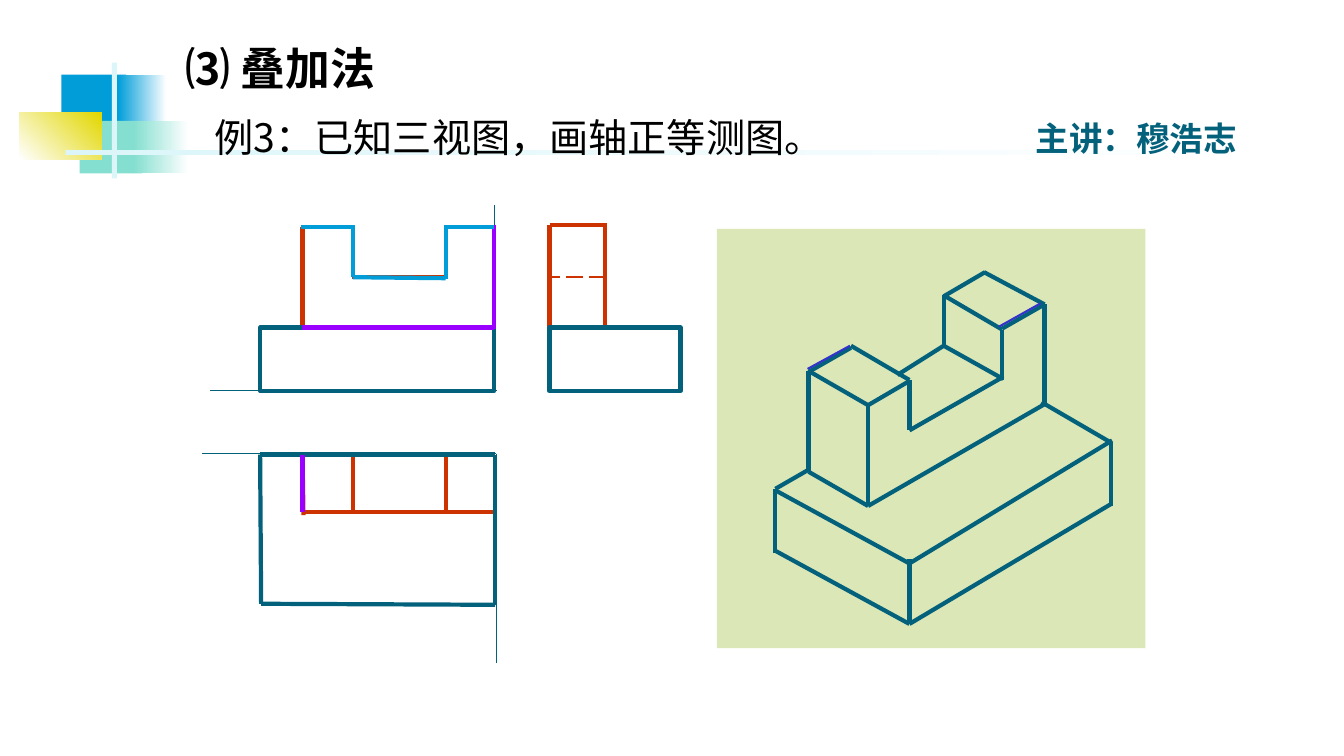
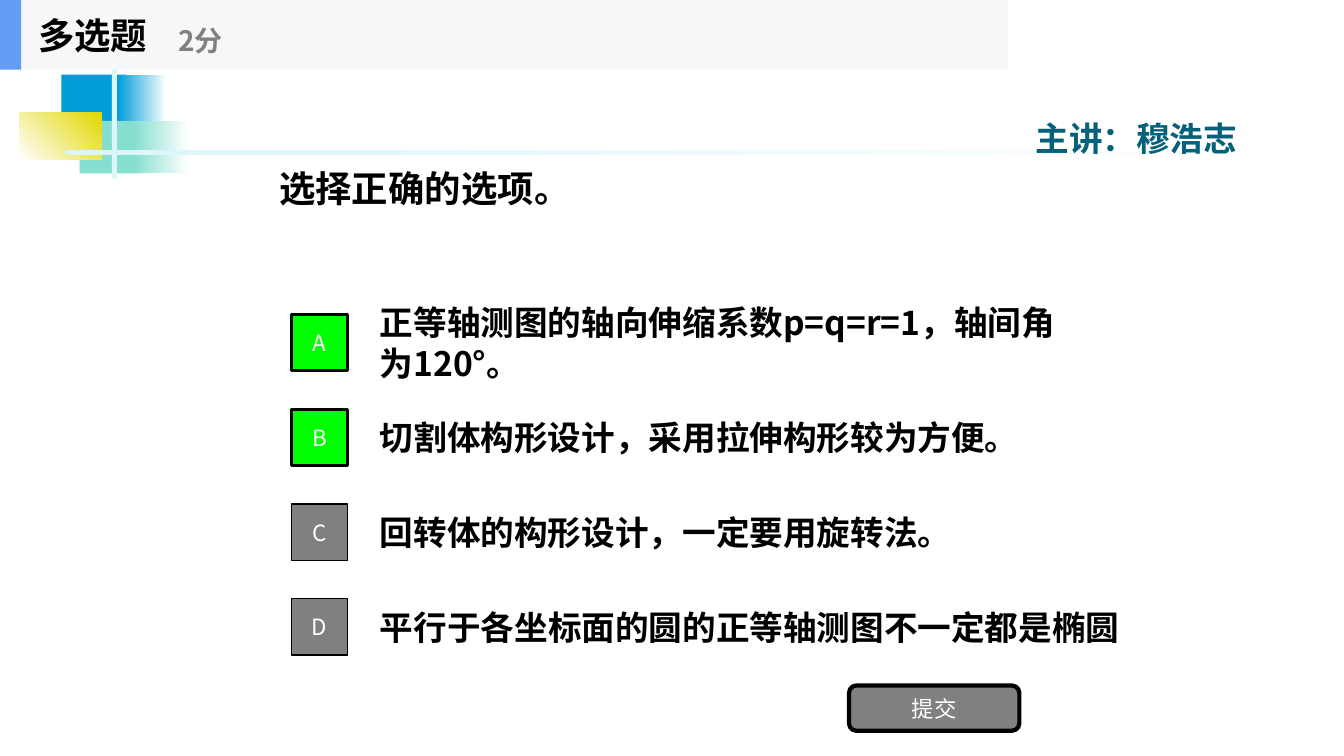
from dataclasses import dataclass

from lxml import etree
from pptx import Presentation
from pptx.dml.color import RGBColor
from pptx.enum.dml import MSO_LINE
from pptx.enum.shapes import MSO_CONNECTOR, MSO_SHAPE
from pptx.enum.text import MSO_ANCHOR, PP_ALIGN
from pptx.oxml.ns import qn
from pptx.util import Emu, Pt

RECT = MSO_SHAPE.RECTANGLE
ROUNDED = MSO_SHAPE.ROUNDED_RECTANGLE
STRAIGHT = MSO_CONNECTOR.STRAIGHT
LONG_DASH = MSO_LINE.LONG_DASH
MIDDLE = MSO_ANCHOR.MIDDLE
LEFT, CENTER = PP_ALIGN.LEFT, PP_ALIGN.CENTER

EMU_PER_PX = 9144  # 100 px to the inch
FONT = "Noto Sans CJK SC"
BLACK, WHITE, GREY = "000000", "FFFFFF", "808080"
TEAL, BLUE, MINT, ICE, YELLOW = "04617B", "009DD9", "85DFD0", "DBF5F9", "E2D700"
RED, PURPLE, INDIGO = "CC3300", "9900FF", "3333CC"
GREEN, SAGE, PALE, TAB_BLUE = "00FF00", "DBE7B6", "F6F7F8", "639EF4"


@dataclass
class Box:
    left: int
    top: int
    width: int
    height: int


@dataclass
class Band:
    box: Box
    start: str
    end: str = ""
    angle: int = 0


@dataclass
class Label:
    text: str
    box: Box
    size: int
    colour: str = BLACK
    bold: bool = True
    align: PP_ALIGN = LEFT
    wrap: bool = True


@dataclass
class Strokes:
    colour: str
    weight: float
    segments: list
    dashed: bool = False


@dataclass
class Option:
    letter: str
    text: str
    correct: bool
    width: int = 700


# Shared decoration
BANDS = [
    Band(Box(61, 74, 64, 52), BLUE),
    Band(Box(117, 74, 48, 52), BLUE, WHITE),
    Band(Box(79, 120, 62, 52), MINT),
    Band(Box(133, 120, 54, 52), MINT, WHITE),
    Band(Box(19, 112, 82, 46), WHITE, YELLOW, 45),
    Band(Box(111, 62, 5, 115), ICE),
    Band(Box(65, 149, 1200, 5), ICE, WHITE),
]
LECTURER = Label("主讲：穆浩志", Box(954, 111, 346, 51), 24, TEAL, align=CENTER)

# Three views: every segment is x1, y1, x2, y2
UPPER_BLOCK = Strokes(RED, 3, [
    (300, 325, 300, 225), (300, 225, 350, 225), (442, 225, 492, 225),
    (350, 225, 350, 275), (442, 225, 442, 277), (349, 275, 443, 275),
    (490, 326, 490, 223), (300, 450, 301, 511), (300, 508, 492, 508),
    (350, 450, 350, 508), (442, 450, 442, 508), (545, 326, 545, 223),
    (602, 223, 545, 223), (600, 225, 600, 325),
])
HIDDEN_EDGE = Strokes(RED, 1.5, [(601, 275, 544, 275)], dashed=True)
AXES = Strokes(TEAL, 0.75, [
    (492, 450, 492, 658), (490, 387, 490, 203),
    (493, 387, 208, 387), (492, 450, 200, 450),
])
TOP_VIEW_BASE = Strokes(TEAL, 3, [
    (258, 451, 491, 451), (491, 451, 491, 600),
    (258, 451, 259, 599), (491, 600, 259, 599),
])
BASE_VIEWS = [Box(258, 325, 232, 63), Box(545, 325, 130, 63)]
MEASURED_EDGES = Strokes(PURPLE, 3, [
    (490, 325, 300, 325), (300, 451, 300, 508), (490, 223, 490, 326),
])
NOTCH_PROFILE = Strokes(BLUE, 3, [
    (299, 225, 349, 225), (350, 223, 350, 275), (350, 275, 442, 276),
    (442, 225, 442, 277), (440, 225, 490, 225),
])

# Isometric drawing
ISO_PANEL = Box(711, 227, 425, 416)
ISO_UPPER = Strokes(TEAL, 3, [
    (802, 468, 861, 502), (861, 502, 1036, 401), (802, 468, 802, 368),
    (861, 502, 861, 402), (1036, 402, 1036, 302), (802, 368, 861, 402),
    (976, 270, 1036, 302), (936, 294, 977, 270), (844, 343, 902, 377),
    (902, 377, 902, 427), (994, 327, 994, 377), (902, 427, 993, 375),
    (936, 293, 936, 343), (936, 343, 890, 372), (936, 293, 994, 327),
    (802, 369, 844, 345), (861, 402, 902, 378), (994, 326, 1036, 302),
    (936, 343, 995, 376),
])
ISO_BASE = Strokes(TEAL, 3, [
    (769, 549, 769, 485), (1102, 502, 1102, 439), (770, 487, 902, 559),
    (1103, 437, 902, 559), (902, 555, 902, 618), (770, 547, 902, 619),
    (1102, 500, 902, 619), (769, 485, 802, 466), (1100, 438, 1033, 399),
])
ISO_HIGHLIGHT = Strokes(INDIGO, 1.5, [(991, 324, 1032, 301), (801, 366, 843, 343)])

# Quiz
OPTIONS = [
    Option("A", "正等轴测图的轴向伸缩系数p=q=r=1，轴间角为120°。", True),
    Option("B", "切割体构形设计，采用拉伸构形较为方便。", True),
    Option("C", "回转体的构形设计，一定要用旋转法。", False),
    Option("D", "平行于各坐标面的圆的正等轴测图不一定都是椭圆", False, 769),
]
OPTION_TOP, OPTION_PITCH = 305, 94


def px(length: int) -> Emu:
    return Emu(length * EMU_PER_PX)


def rgb(colour: str) -> RGBColor:
    return RGBColor.from_string(colour)


def place(box: Box) -> tuple:
    return px(box.left), px(box.top), px(box.width), px(box.height)


def write(shape, label: Label) -> None:
    frame = shape.text_frame
    frame.word_wrap = label.wrap
    frame.vertical_anchor = MIDDLE
    paragraph = frame.paragraphs[0]
    paragraph.text = label.text
    paragraph.alignment = label.align
    font = paragraph.font
    font.size, font.bold, font.name = Pt(label.size), label.bold, FONT
    font.color.rgb = rgb(label.colour)
    # East Asian typeface
    defaults = paragraph._p.find(".//" + qn("a:defRPr"))
    etree.SubElement(defaults, qn("a:ea"), typeface=FONT)


def add_label(slide, label: Label) -> None:
    write(slide.shapes.add_textbox(*place(label.box)), label)


def add_block(slide, box: Box, fill: str = "", line: str = "",
              weight: float = 0, kind: MSO_SHAPE = RECT):
    block = slide.shapes.add_shape(kind, *place(box))
    block.shadow.inherit = False
    if fill:
        block.fill.solid()
        block.fill.fore_color.rgb = rgb(fill)
    else:
        block.fill.background()
    if line:
        block.line.color.rgb = rgb(line)
        block.line.width = Pt(weight)
    else:
        block.line.fill.background()
    return block


def add_button(slide, text: str, box: Box, fill: str, weight: float,
               kind: MSO_SHAPE = RECT) -> None:
    button = add_block(slide, box, fill, BLACK, weight, kind)
    write(button, Label(text, box, 16, WHITE, bold=False, align=CENTER))


def add_band(slide, band: Band) -> None:
    block = add_block(slide, band.box, band.start)
    if band.end:
        block.fill.gradient()
        block.fill.gradient_angle = band.angle
        for stop, colour in zip(block.fill.gradient_stops, (band.start, band.end)):
            stop.color.rgb = rgb(colour)


def add_strokes(slide, *groups: Strokes) -> None:
    for group in groups:
        for segment in group.segments:
            edge = slide.shapes.add_connector(STRAIGHT, *map(px, segment))
            edge.line.color.rgb = rgb(group.colour)
            edge.line.width = Pt(group.weight)
            if group.dashed:
                edge.line.dash_style = LONG_DASH
            etree.SubElement(edge._element.spPr, qn("a:effectLst"))


def add_decorated_slide(deck):
    slide = deck.slides.add_slide(deck.slide_layouts[6])
    for band in BANDS:
        add_band(slide, band)
    add_label(slide, LECTURER)
    return slide


def build_views_slide(deck) -> None:
    slide = add_decorated_slide(deck)
    add_strokes(slide, UPPER_BLOCK, HIDDEN_EDGE, AXES, TOP_VIEW_BASE)
    for base in BASE_VIEWS:
        add_block(slide, base, line=TEAL, weight=3)
    add_label(slide, Label("例3：已知三视图，画轴正等测图。", Box(203, 107, 629, 57),
                           28, bold=False, wrap=False))
    add_label(slide, Label("⑶ 叠加法", Box(174, 36, 222, 63), 32, wrap=False))
    add_strokes(slide, MEASURED_EDGES, NOTCH_PROFILE)
    add_block(slide, ISO_PANEL, SAGE)
    add_strokes(slide, ISO_UPPER, ISO_BASE, ISO_HIGHLIGHT)


def build_quiz_slide(deck) -> None:
    slide = add_decorated_slide(deck)
    add_label(slide, Label("选择正确的选项。", Box(267, 69, 800, 234), 26))
    # Options
    for row, option in enumerate(OPTIONS):
        top = OPTION_TOP + row * OPTION_PITCH
        add_label(slide, Label(option.text, Box(367, top, option.width, 70), 24))
        fill, weight = (GREEN, 2) if option.correct else (GREY, 1)
        add_button(slide, option.letter, Box(289, top + 7, 56, 56), fill, weight)
    add_button(slide, "提交", Box(842, 680, 169, 45), GREY, 3, ROUNDED)
    # Header bar
    add_block(slide, Box(0, 0, 1000, 69), PALE)
    add_block(slide, Box(0, 0, 21, 69), TAB_BLUE)
    add_label(slide, Label("多选题", Box(28, 0, 208, 69), 26))
    add_label(slide, Label("2分", Box(167, 12, 250, 56), 20, GREY))


def main() -> None:
    deck = Presentation()
    deck.slide_width, deck.slide_height = px(1333), px(750)
    build_views_slide(deck)
    build_quiz_slide(deck)
    deck.save("out.pptx")


if __name__ == "__main__":
    main()
